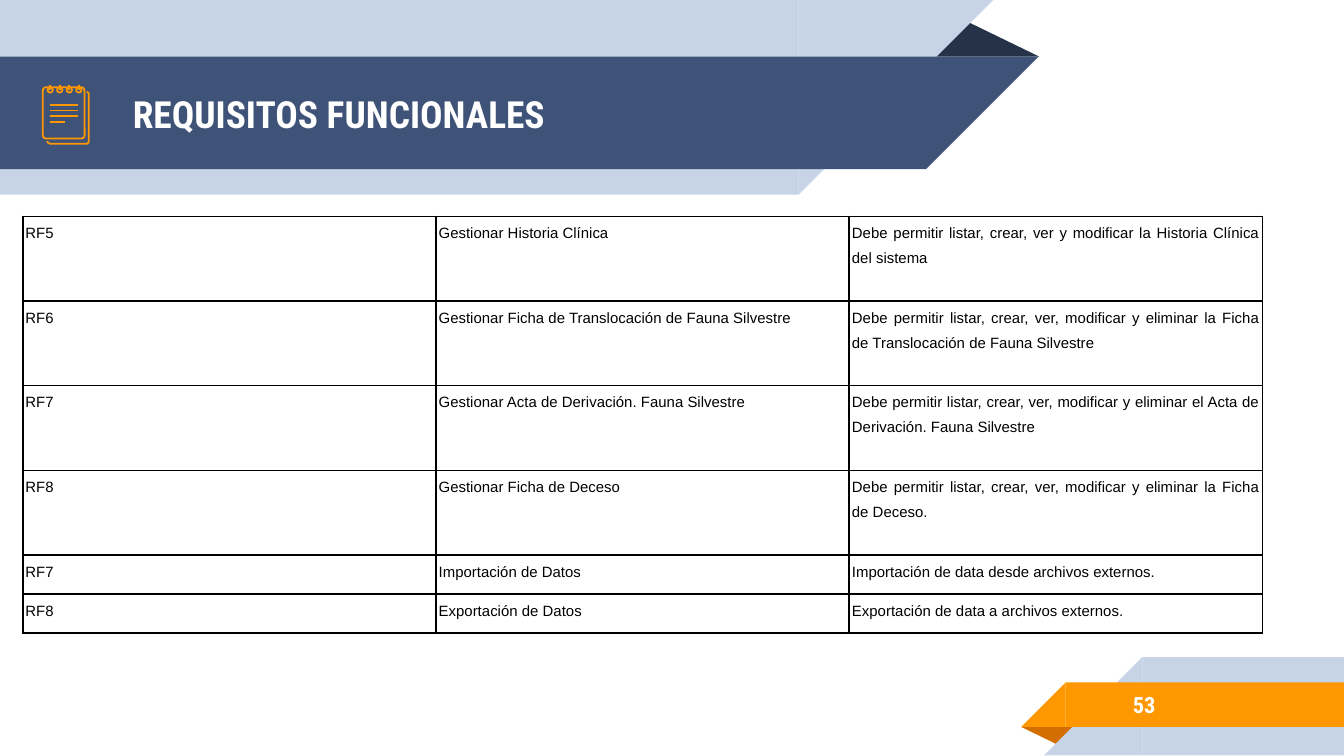
from lxml.etree import SubElement
from pptx import Presentation
from pptx.dml.color import RGBColor
from pptx.enum.shapes import MSO_CONNECTOR, MSO_SHAPE
from pptx.enum.text import MSO_ANCHOR, PP_ALIGN
from pptx.oxml.ns import qn
from pptx.util import Cm, Pt

NAVY, DARK_NAVY, PALE_BLUE = "3F5378", "263248", "C7D3E6"
ORANGE, DARK_ORANGE = "FF9800", "D26F00"
WHITE, BLACK = "FFFFFF", "000000"
ICON_LINE = Pt(0.96)
LIST, FICHA = "Debe permitir listar, crear, ver", "modificar y eliminar"
REQUIREMENTS = [
    ("RF5", "Gestionar Historia Clínica",
     f"{LIST} y modificar la Historia Clínica del sistema"),
    ("RF6", "Gestionar Ficha de Translocación de Fauna Silvestre",
     f"{LIST}, {FICHA} la Ficha de Translocación de Fauna Silvestre"),
    ("RF7", "Gestionar Acta de Derivación. Fauna Silvestre",
     f"{LIST}, {FICHA} el Acta de Derivación. Fauna Silvestre"),
    ("RF8", "Gestionar Ficha de Deceso", f"{LIST}, {FICHA} la Ficha de Deceso."),
    ("RF7", "Importación de Datos", "Importación de data desde archivos externos."),
    ("RF8", "Exportación de Datos", "Exportación de data a archivos externos."),
]
ROW_HEIGHTS = [1.6] * 4 + [0.74] * 2


def color(value):
    return RGBColor.from_string(value)


def apply_format(target, values):
    for name, value in values.items():
        setattr(target, name, value)


def add_filled(page, kind, place, fill, rotation=0):
    shape = page.shapes.add_shape(kind, *map(Cm, place))
    shape.shadow.inherit = False
    shape.fill.solid()
    shape.fill.fore_color.rgb = color(fill)
    shape.line.fill.background()
    shape.rotation = rotation
    return shape


def add_fold(page, place, fill, rotation=0):
    add_filled(page, MSO_SHAPE.ISOSCELES_TRIANGLE, place, fill, rotation).adjustments[0] = 0.324


def add_top_band(page, top, width, height, fill):
    add_filled(page, MSO_SHAPE.RECTANGLE, (0, top, width, height), fill)
    add_filled(page, MSO_SHAPE.RIGHT_TRIANGLE, (width, top, height, height), fill, 90)


def add_bottom_band(page, left, top, height, fill):
    add_filled(page, MSO_SHAPE.RECTANGLE, (left, top, 25.4 - left, height), fill)
    add_filled(page, MSO_SHAPE.RIGHT_TRIANGLE, (left - height, top, height, height), fill, 270)


def outline(shape):
    shape.shadow.inherit = False
    shape.fill.background()
    shape.line.color.rgb = color(ORANGE)
    shape.line.width = ICON_LINE


def add_line(page, *ends):
    line = page.shapes.add_connector(MSO_CONNECTOR.STRAIGHT, *map(Cm, ends))
    line.line.color.rgb = color(ORANGE)
    line.line.width = ICON_LINE
    SubElement(line._element.spPr, qn("a:effectLst"))


def add_notepad(page):
    edge = [(0.89, 2.67), (0.91, 2.7), (0.95, 2.72), (1.64, 2.72), (1.67, 2.7),
            (1.68, 2.67), (1.68, 1.78), (1.67, 1.75), (1.64, 1.74)]
    points = [(Cm(x), Cm(y)) for x, y in edge]
    builder = page.shapes.build_freeform(*points[0])
    builder.add_line_segments(points[1:], close=False)
    outline(builder.convert_to_shape())
    sheet = page.shapes.add_shape(
        MSO_SHAPE.ROUNDED_RECTANGLE, Cm(0.81), Cm(1.65), Cm(0.79), Cm(0.97))
    sheet.adjustments[0] = 0.08
    outline(sheet)
    for index in range(4):
        center = 0.95 + 0.18 * index
        outline(page.shapes.add_shape(
            MSO_SHAPE.OVAL, Cm(center - 0.05), Cm(1.65), Cm(0.1), Cm(0.1)))
        add_line(page, center, 1.6, center, 1.7)
        height = 1.98 + 0.11 * index
        add_line(page, 0.94, height, 1.22 if index == 3 else 1.48, height)


def add_text(page, text, place, size):
    box = page.shapes.add_textbox(*map(Cm, place))
    frame = box.text_frame
    margins = {f"margin_{side}": Cm(0.25) for side in ("left", "right", "top", "bottom")}
    apply_format(frame, {"word_wrap": True, "vertical_anchor": MSO_ANCHOR.MIDDLE, **margins})
    span = frame.paragraphs[0].add_run()
    span.text = text
    apply_format(span.font, {"name": "Roboto Condensed", "size": Pt(size), "bold": True})
    span.font.color.rgb = color(WHITE)


def add_borders(cell):
    properties = cell._tc.get_or_add_tcPr()
    for side in ("lnL", "lnR", "lnT", "lnB"):
        border = SubElement(properties, qn(f"a:{side}"), w=str(Pt(1)))
        fill = SubElement(border, qn("a:solidFill"))
        SubElement(fill, qn("a:srgbClr"), val=BLACK)


def fill_cell(cell, text):
    apply_format(cell, {"margin_left": Cm(0.05), "margin_right": Cm(0.05),
                        "margin_top": 0, "margin_bottom": 0})
    add_borders(cell)
    cell.fill.background()
    paragraph = cell.text_frame.paragraphs[0]
    apply_format(paragraph, {"alignment": PP_ALIGN.JUSTIFY, "line_spacing": 1.5,
                             "space_after": Pt(8)})
    span = paragraph.add_run()
    span.text = text
    apply_format(span.font, {"name": "Arial", "size": Pt(8)})
    span.font.color.rgb = color(BLACK)


def add_requirements(page):
    place = (0.43, 4.09, 23.43, sum(ROW_HEIGHTS))
    table = page.shapes.add_table(len(REQUIREMENTS), 3, *map(Cm, place)).table
    apply_format(table, {"first_row": False, "horz_banding": False})
    for column in table.columns:
        column.width = Cm(7.81)
    for row, height, texts in zip(table.rows, ROW_HEIGHTS, REQUIREMENTS):
        row.height = Cm(height)
        for cell, text in zip(row.cells, texts):
            fill_cell(cell, text)


def main():
    deck = Presentation()
    apply_format(deck, {"slide_width": Cm(25.4), "slide_height": Cm(14.29)})
    page = deck.slides.add_slide(deck.slide_layouts[6])
    add_fold(page, (17.48, 0.36, 2.16, 0.71), DARK_NAVY)
    add_top_band(page, 0, 15.09, 3.68, PALE_BLUE)
    add_top_band(page, 1.07, 17.5, 2.13, NAVY)
    add_fold(page, (19.3, 13.74, 1.09, 0.36), DARK_ORANGE, 180)
    add_bottom_band(page, 21.59, 12.42, 1.86, PALE_BLUE)
    add_bottom_band(page, 20.14, 12.9, 0.84, ORANGE)
    add_notepad(page)
    add_text(page, "REQUISITOS FUNCIONALES", (2.26, 1.09, 14.6, 2.13), 20)
    add_text(page, "53", (21.16, 12.88, 4.14, 0.89), 12)
    add_requirements(page)
    deck.save("out.pptx")


if __name__ == "__main__":
    main()
